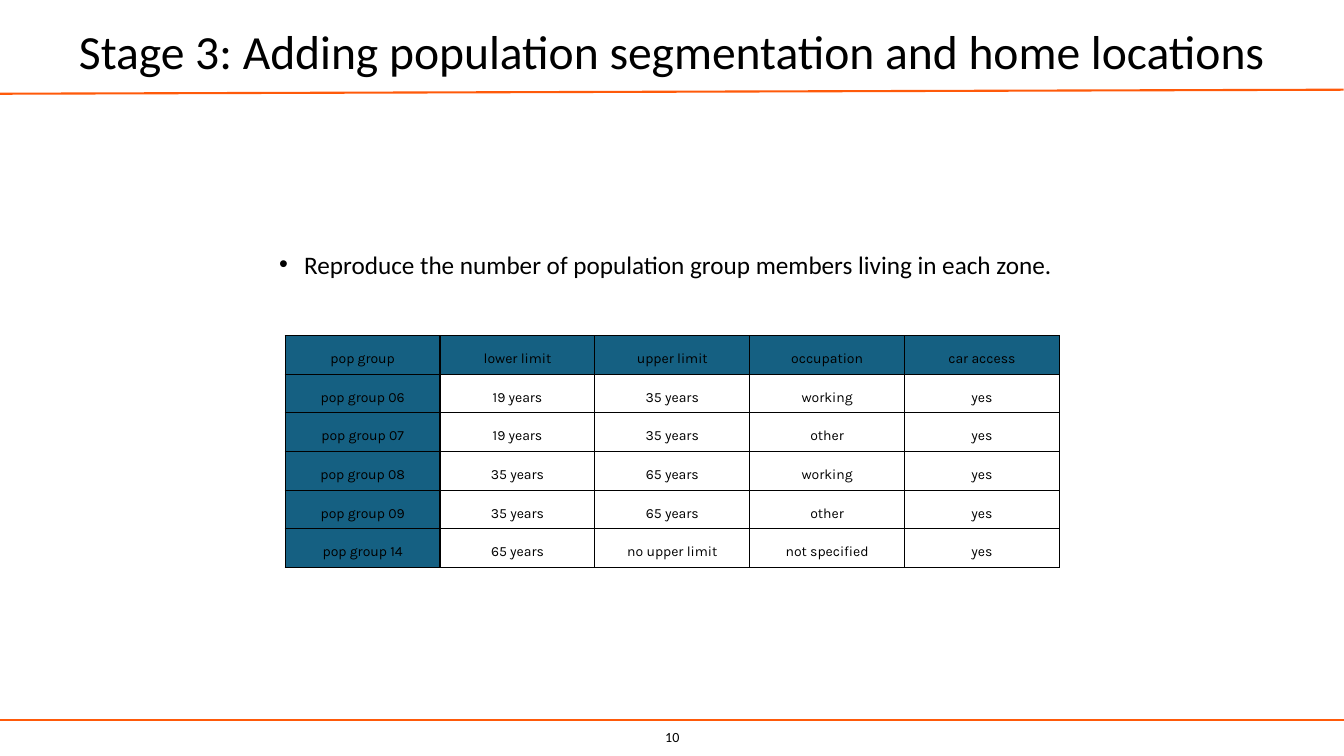
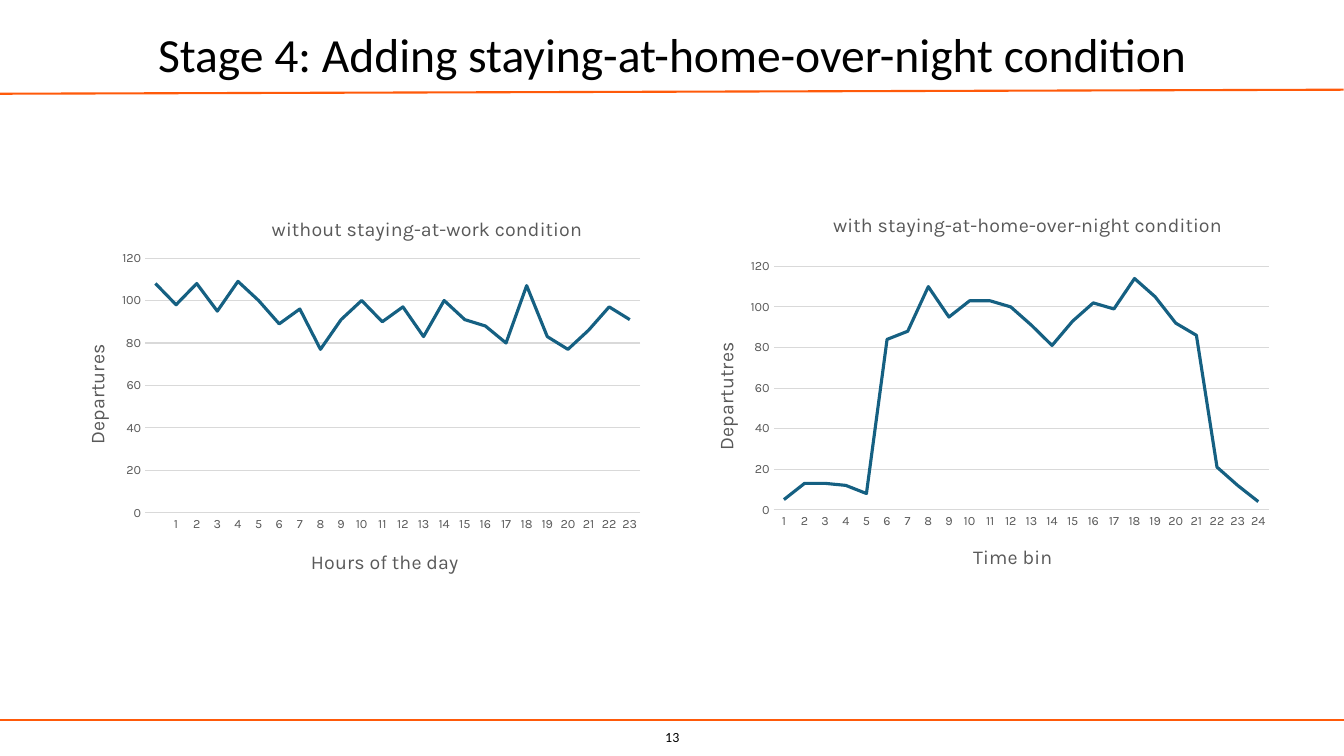
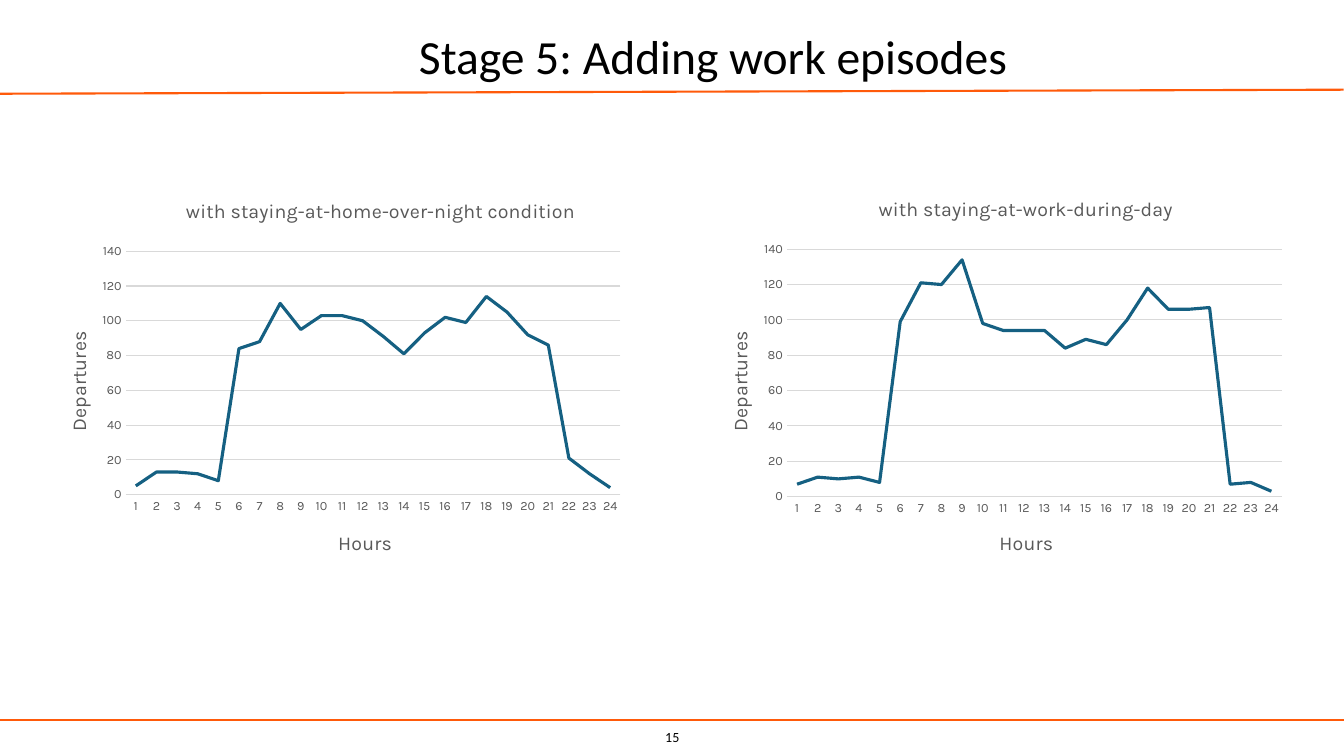
import pptx
import pptx.chart.data
import pptx.dml.color
import pptx.enum.chart
import pptx.enum.shapes
import pptx.enum.text
import pptx.oxml
import pptx.oxml.ns
import pptx.util

PX = 9144  # 100 px to the inch
ORANGE, TEAL, BLACK, GREY, PALE = "FF5A0A", "156082", "000000", "595959", "D9D9D9"
TITLE_FONT = {"name": "Calibri", "size": 34, "color": BLACK}
BULLET_FONT = {"name": "Calibri", "size": 18, "color": BLACK}
FOOTER_FONT = {"name": "Calibri", "size": 10, "color": BLACK}
CELL_FONT = {"name": "Karla", "size": 10, "color": BLACK}
CHART_FONT = {"name": "Karla", "size": 14, "color": GREY, "bold": False}
TICK_FONT = {"name": "Karla", "size": 9, "color": GREY}
CENTER = pptx.enum.text.PP_ALIGN.CENTER
MIDDLE = pptx.enum.text.MSO_ANCHOR.MIDDLE
TOP = pptx.enum.text.MSO_ANCHOR.TOP
qn = pptx.oxml.ns.qn


def emu(*lengths):
    return [round(length * PX) for length in lengths]


def rgb(value):
    return pptx.dml.color.RGBColor.from_string(value)


def set_values(target, values):
    for name, value in values.items():
        setattr(target, name, value)


def set_font(font, values):
    for name, value in values.items():
        if name == "color":
            font.color.rgb = rgb(value)
        else:
            setattr(font, name, pptx.util.Pt(value) if name == "size" else value)


def set_line(line, color, width):
    line.color.rgb = rgb(color)
    line.width = pptx.util.Pt(width)


def add_xml(parent, tag, **values):
    child = parent.makeelement(qn(tag), values)
    parent.append(child)
    return child


# Parts that all slides share
def add_rule(page, left, top, right, bottom):
    rule = page.shapes.add_connector(
        pptx.enum.shapes.MSO_CONNECTOR.STRAIGHT, *emu(left, top, right, bottom))
    set_line(rule.line, ORANGE, 1.5)
    add_xml(rule._element.spPr, "a:effectLst")


def add_text(page, box, text, font, anchor=MIDDLE, **format_values):
    frame = page.shapes.add_textbox(*emu(*box)).text_frame
    set_values(frame, {"word_wrap": True, "vertical_anchor": anchor})
    para = frame.paragraphs[0]
    set_values(para, format_values)
    span = para.add_run()
    span.text = text
    set_font(span.font, font)
    return para


def add_page(deck, title, title_box, number):
    page = deck.slides.add_slide(deck.slide_layouts[6])
    add_rule(page, 0, 714, 1333, 714)
    add_text(page, (635, 718, 64, 27), number, FOOTER_FONT, alignment=CENTER)
    add_rule(page, 0, 93, 1333, 89)
    add_text(page, title_box, title, TITLE_FONT, alignment=CENTER, line_spacing=0.9)
    return page


def add_bullet(page, box, text):
    para = add_text(page, box, text, BULLET_FONT, TOP,
                    line_spacing=1.5, space_before=pptx.util.Pt(10))
    properties = para._p.get_or_add_pPr()
    indent = 25 * PX
    properties.set("marL", str(indent))
    properties.set("indent", str(-indent))
    add_xml(properties, "a:buFont", typeface="Arial")
    add_xml(properties, "a:buChar", char="•")


# Table
def format_cell(cell, text, filled):
    side, = emu(5)
    set_values(cell, {"margin_left": side, "margin_right": side, "margin_top": 0,
                      "margin_bottom": 0, "vertical_anchor": MIDDLE})
    para = cell.text_frame.paragraphs[0]
    set_values(para, {"alignment": CENTER, "line_spacing": 1.5,
                      "space_after": pptx.util.Pt(8)})
    span = para.add_run()
    span.text = text
    set_font(span.font, CELL_FONT)
    for edge in ("a:lnL", "a:lnR", "a:lnT", "a:lnB"):
        border = add_xml(cell._tc.get_or_add_tcPr(), edge, w=str(pptx.util.Pt(1)))
        add_xml(add_xml(border, "a:solidFill"), "a:srgbClr", val=BLACK)
    if filled:
        cell.fill.solid()
        cell.fill.fore_color.rgb = rgb(TEAL)
    else:
        cell.fill.background()


def add_group_table(page, box, rows):
    left, top, width, height = emu(*box)
    table = page.shapes.add_table(len(rows), len(rows[0]), left, top, width, height).table
    set_values(table, {"first_row": False, "horz_banding": False})
    for column in table.columns:
        column.width = width // len(rows[0])
    for row_index, row in enumerate(rows):
        table.rows[row_index].height = height // len(rows)
        for column_index, text in enumerate(row):
            format_cell(table.cell(row_index, column_index), text,
                        row_index == 0 or column_index == 0)


# Line charts
def set_layout(element, index, **values):
    for old in element.findall(qn("c:layout")):
        element.remove(old)
    layout = element.makeelement(qn("c:layout"), {})
    element.insert(index, layout)
    manual = add_xml(layout, "c:manualLayout")
    for name, value in values.items():
        add_xml(manual, "c:" + name, val=str(value))


def set_chart_title(title, text, place, box, rotation=None):
    para = title.text_frame.paragraphs[0]
    span = para.add_run()
    span.text = text
    set_font(span.font, CHART_FONT)
    if rotation:
        body = title._element.find(".//" + qn("a:bodyPr"))
        body.set("rot", str(rotation * 60000))
        body.set("vert", "horz")
    set_layout(title._element, 1, xMode="edge", yMode="edge",
               x=round(place[0] / box[2], 4), y=round(place[1] / box[3], 4))


def add_departures_chart(page, left, top, spec_values):
    box = (left, top, 591, 394)
    data = pptx.chart.data.CategoryChartData()
    data.categories = spec_values["hours"]
    data.add_series("Series 1", spec_values["departures"])
    chart = page.shapes.add_chart(
        pptx.enum.chart.XL_CHART_TYPE.LINE, *emu(*box), data).chart
    set_font(chart.font, CELL_FONT)
    set_values(chart, {"has_legend": False, "has_title": True})
    plot_left, plot_top, plot_width, plot_height = spec_values["plot"]
    set_layout(chart._chartSpace.chart.plotArea, 0, layoutTarget="inner",
               xMode="edge", yMode="edge",
               x=plot_left, y=plot_top, w=plot_width, h=plot_height)

    # Axes
    hours, counts = chart.category_axis, chart.value_axis
    for axis in (hours, counts):
        set_values(axis, {"has_title": True,
                          "major_tick_mark": pptx.enum.chart.XL_TICK_MARK.NONE,
                          "minor_tick_mark": pptx.enum.chart.XL_TICK_MARK.NONE})
        set_font(axis.tick_labels.font, TICK_FONT)
    set_values(counts, {"minimum_scale": 0, "maximum_scale": spec_values["top"],
                        "major_unit": 20, "has_major_gridlines": True})
    set_line(hours.format.line, PALE, 0.75)
    set_line(counts.major_gridlines.format.line, PALE, 0.75)
    counts.format.line.fill.background()

    # Titles
    set_chart_title(chart.chart_title, *spec_values["title"], box)
    set_chart_title(hours.axis_title, *spec_values["hour_title"], box)
    set_chart_title(counts.axis_title, *spec_values["count_title"], box, rotation=-90)

    # Series
    chart.plots[0].vary_by_categories = False
    series = chart.plots[0].series[0]
    series.smooth = False
    set_line(series.format.line, TEAL, 2.25)


GROUPS = [
    ("pop group", "lower limit", "upper limit", "occupation", "car access"),
    ("pop group 06", "19 years", "35 years", "working", "yes"),
    ("pop group 07", "19 years", "35 years", "other", "yes"),
    ("pop group 08", "35 years", "65 years", "working", "yes"),
    ("pop group 09", "35 years", "65 years", "other", "yes"),
    ("pop group 14", "65 years", "no upper limit", "not specified", "yes"),
]
HOURS = [str(hour) for hour in range(1, 25)]
AT_HOME = [5, 13, 13, 12, 8, 84, 88, 110, 95, 103, 103, 100,
           91, 81, 93, 102, 99, 114, 105, 92, 86, 21, 12, 4]
AT_WORK = [7, 11, 10, 11, 8, 99, 121, 120, 134, 98, 94, 94,
           94, 84, 89, 86, 100, 118, 106, 106, 107, 7, 8, 3]
UNCONSTRAINED = [108, 98, 108, 95, 109, 100, 89, 96, 77, 91, 100, 90,
                 97, 83, 100, 91, 88, 80, 107, 83, 77, 86, 97, 91]
HOME_PLOT = (0.138, 0.181, 0.831, 0.613)
HOME_TITLE = "with staying-at-home-over-night condition"


def build_population_page(deck):
    page = add_page(deck, "Stage 3: Adding population segmentation and home locations",
                    (-59, 22, 1451, 64), "10")
    add_bullet(page, (267, 227, 800, 56),
               "Reproduce the number of population group members living in each zone.")
    add_group_table(page, (283, 333, 768, 230), GROUPS)


def build_night_page(deck):
    page = add_page(deck, "Stage 4: Adding staying-at-home-over-night condition",
                    (92, 25, 1150, 64), "13")
    add_departures_chart(page, 56, 193, {
        "hours": [""] + HOURS[:-1], "departures": UNCONSTRAINED, "top": 120,
        "plot": (0.149, 0.16, 0.831, 0.642),
        "title": ("without staying-at-work condition", (210, 18)),
        "hour_title": ("Hours of the day", (249, 348)),
        "count_title": ("Departures", (24, 145))})
    add_departures_chart(page, 686, 193, {
        "hours": HOURS, "departures": AT_HOME, "top": 120, "plot": HOME_PLOT,
        "title": (HOME_TITLE, (137, 14)),
        "hour_title": ("Time bin", (276, 344)),
        "count_title": ("Departutres", (18, 143))})


def build_work_page(deck):
    page = add_page(deck, "Stage 5: Adding work episodes", (92, 27, 1231, 64), "15")
    shared = {"hours": HOURS, "top": 140, "hour_title": ("Hours", (289, 345)),
              "count_title": ("Departures", (19, 147))}
    add_departures_chart(page, 43, 178, {
        **shared, "departures": AT_HOME, "plot": HOME_PLOT,
        "title": (HOME_TITLE, (138, 15))})
    add_departures_chart(page, 699, 178, {
        **shared, "departures": AT_WORK, "plot": (0.138, 0.176, 0.831, 0.623),
        "title": ("with staying-at-work-during-day", (169, 13))})


def main():
    deck = pptx.Presentation()
    deck.slide_width, deck.slide_height = emu(1333.33, 750)
    build_population_page(deck)
    build_night_page(deck)
    build_work_page(deck)
    deck.save("out.pptx")


if __name__ == "__main__":
    main()
